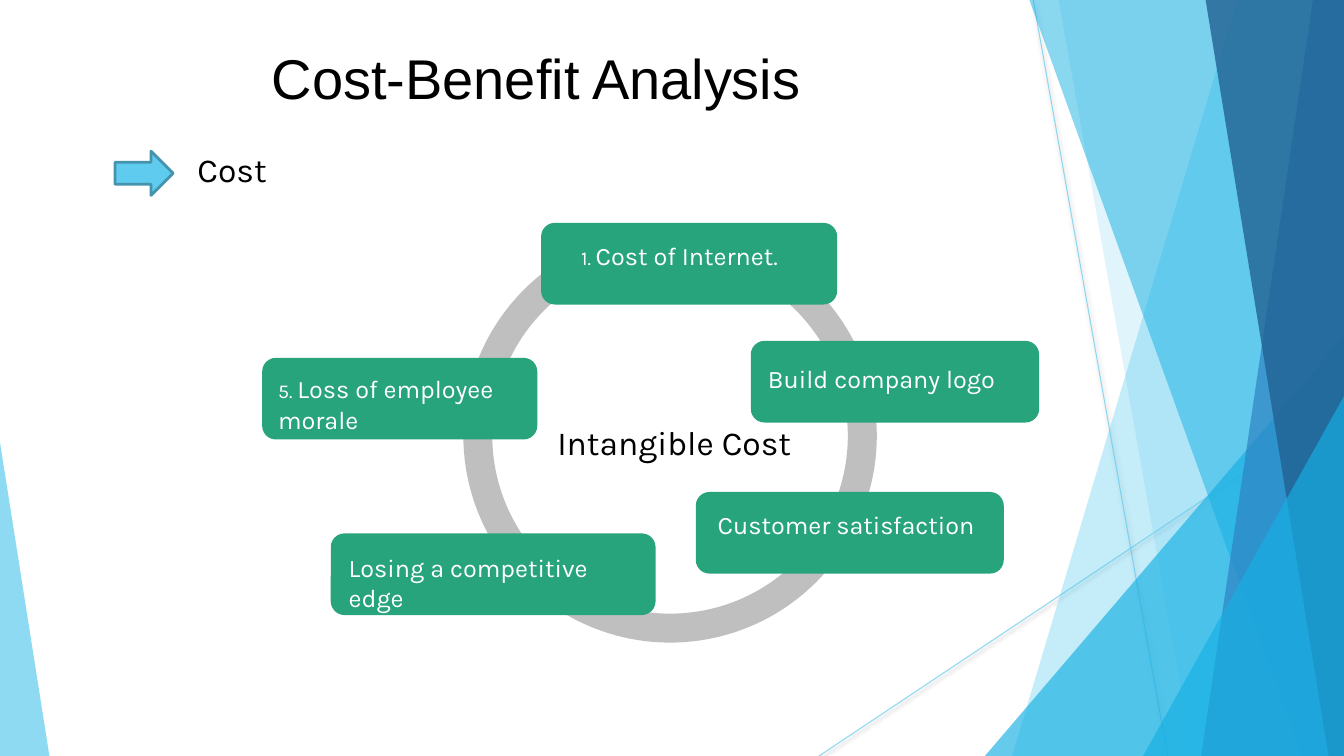
import pptx
import pptx.dml.color
import pptx.enum.shapes
import pptx.enum.text
import pptx.oxml
import pptx.oxml.ns
import pptx.util

Pt = pptx.util.Pt
RGBColor = pptx.dml.color.RGBColor
MSO_SHAPE = pptx.enum.shapes.MSO_SHAPE
qn = pptx.oxml.ns.qn

COLORS = {
    "sky": "5FCBEF", "cyan": "16B0E3", "blue": "2E83C3", "navy": "226292",
    "arrow_edge": "4594AE", "ring": "BFBFBF", "card": "28A47C",
    "white": "FFFFFF", "black": "000000",
}
SHADOW = (
    '<a:effectLst xmlns:a="http://schemas.openxmlformats.org/drawingml/2006/main">'
    '<a:outerShdw blurRad="39370" dist="20320" dir="5400000" rotWithShape="0">'
    '<a:srgbClr val="000000"><a:alpha val="38000"/></a:srgbClr>'
    '</a:outerShdw></a:effectLst>'
)


def paint(shape, color, opacity=100):
    """Give a shape a flat fill with no outline and no shadow."""
    shape.shadow.inherit = False
    shape.fill.solid()
    shape.fill.fore_color.rgb = RGBColor.from_string(COLORS[color])
    shape.line.fill.background()
    if opacity < 100:
        color_element = shape._element.spPr.find(qn("a:solidFill"))[0]
        color_element.append(color_element.makeelement(qn("a:alpha"), {"val": str(opacity * 1000)}))


def write(shape, box, pieces, font, color):
    """Place a text shape and fill it with (text, size) pieces."""
    shape.left, shape.top, shape.width, shape.height = map(Pt, box)
    frame = shape.text_frame
    frame.word_wrap = True
    frame.auto_size = pptx.enum.text.MSO_AUTO_SIZE.SHAPE_TO_FIT_TEXT
    frame.vertical_anchor = pptx.enum.text.MSO_ANCHOR.TOP
    paragraph = frame.paragraphs[0]
    paragraph.alignment = pptx.enum.text.PP_ALIGN.LEFT
    for text, size in pieces:
        run = paragraph.add_run()
        run.text = text
        run.font.name = font
        run.font.size = Pt(size)
        run.font.color.rgb = RGBColor.from_string(COLORS[color])


presentation = pptx.Presentation()
presentation.slide_width = Pt(960)
presentation.slide_height = Pt(540)
slide = presentation.slides.add_slide(presentation.slide_layouts[5])
shapes = slide.shapes

# Thin crossing lines behind the facets
for ends in [(738, 0, 834, 540), (960, 290, 585, 540)]:
    line = shapes.add_connector(pptx.enum.shapes.MSO_CONNECTOR.STRAIGHT, *map(Pt, ends))
    line.line.width = Pt(0.75)
    line.line.color.rgb = RGBColor.from_string(COLORS["sky"])
    properties = line._element.spPr
    line_color = properties.find(qn("a:ln")).find(qn("a:solidFill"))[0]
    line_color.append(line_color.makeelement(qn("a:alpha"), {"val": "70000"}))
    properties.append(pptx.oxml.parse_xml(SHADOW))

# Bands reach the right edge: (top x, bottom x). Triangles: (left, top, width, height, apex)
facets = [
    ((884, 723), "sky", 36),
    ((756, 852), "sky", 20),
    ((703.5, 240, 256.5, 300, 1), "cyan", 66),
    ((735, 929.5), "cyan", 50),
    ((938, 858), "blue", 70),
    ((861, 949), "navy", 80),
    ((816.5, 283, 143.5, 257, 1), "cyan", 66),
    ((0, 316, 35.3, 224, 0), "sky", 70),
]
for geometry, color, opacity in facets:
    if len(geometry) == 2:
        top_x, bottom_x = geometry
        builder = shapes.build_freeform(top_x, -0.6, scale=Pt(1))
        builder.add_line_segments([(960, -0.6), (960, 540), (bottom_x, 540)], close=True)
        facet = builder.convert_to_shape()
    else:
        *box, apex = geometry
        facet = shapes.add_shape(MSO_SHAPE.ISOSCELES_TRIANGLE, *map(Pt, box))
        facet.adjustments[0] = apex
    paint(facet, color, opacity)

write(shapes.title, (187, 27.5, 407, 55.7), [("Cost-Benefit Analysis", 40)], "Arial", "black")

arrow = shapes.add_shape(MSO_SHAPE.RIGHT_ARROW, Pt(82.2), Pt(108), Pt(41.4), Pt(31.5))
paint(arrow, "sky")
arrow.line.color.rgb = RGBColor.from_string(COLORS["arrow_edge"])
arrow.line.width = Pt(2)

ring = shapes.add_shape(MSO_SHAPE.DONUT, Pt(331), Pt(163.7), Pt(295.3), Pt(295.3))
ring.adjustments[0] = 0.07
paint(ring, "ring")

# Card left, top, width; label box; label pieces
cards = [
    ((386.5, 159.2, 211.5), (408, 167.8, 177, 29), [("1. ", 14), ("Cost of Internet.", 18)]),
    ((536.3, 243.5, 206), (541.5, 255.6, 201.5, 29), [("Build company logo", 18)]),
    ((187.3, 255.6, 196.5), (191.5, 263.3, 184.5, 51), [("5. ", 14), ("Loss of employee morale", 18)]),
    ((497, 351.4, 220), (505.5, 360, 198.5, 29), [("Customer satisfaction", 18)]),
    ((236.3, 381, 232), (242, 391, 201.5, 51), [("Losing a competitive edge", 18)]),
]
for (left, top, width), _, _ in cards:
    card = shapes.add_shape(MSO_SHAPE.ROUNDED_RECTANGLE, Pt(left), Pt(top), Pt(width), Pt(58.3))
    card.adjustments[0] = 0.167
    paint(card, "card")

labels = [(box, pieces, "white") for _, box, pieces in cards]
labels += [
    ((134, 103, 136, 36), [("Cost", 24)], "black"),
    ((391, 298, 202.5, 36), [("Intangible Cost", 24)], "black"),
]
for box, pieces, color in labels:
    write(shapes.add_textbox(*map(Pt, box)), box, pieces, "Karla", color)

presentation.save("out.pptx")
